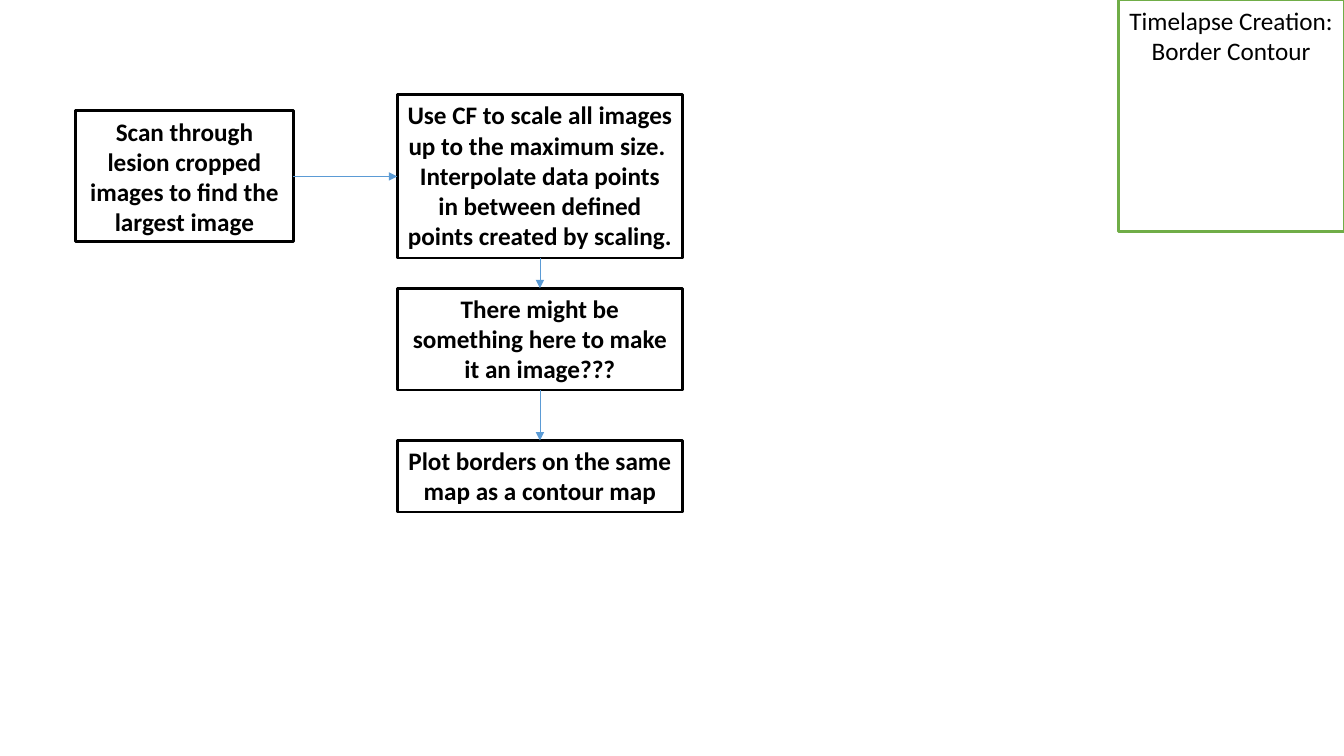
from dataclasses import dataclass

from lxml.etree import SubElement
from pptx import Presentation
from pptx.dml.color import RGBColor
from pptx.enum.shapes import MSO_CONNECTOR
from pptx.enum.text import MSO_ANCHOR, MSO_AUTO_SIZE, PP_ALIGN
from pptx.oxml.ns import qn
from pptx.shapes.autoshape import Shape
from pptx.slide import Slide
from pptx.util import Inches, Pt

COLORS = {"text": "000000", "box": "000000", "title": "70AD47", "arrow": "5B9BD5"}
FONT = "Calibri"
TOP, LEFT, BOTTOM, RIGHT = range(4)  # connection sites of a rectangle


@dataclass
class Step:
    name: str
    left: float
    top: float
    width: float
    height: float
    text: str


@dataclass
class Arrow:
    start: str
    out: int
    end: str
    into: int


COL, WIDE = 3.94, 2.83
STEPS = [
    Step("scan", 0.75, 1.1, 2.16, 1.3,
         "Scan through lesion cropped images to find the largest image"),
    Step("scale", COL, 0.94, WIDE, 1.62,
         "Use CF to scale all images up to the maximum size. \n"
         "Interpolate data points in between defined points created by scaling."),
    Step("image", COL, 2.86, WIDE, 1.01,
         "There might be something here to make it an image???"),
    Step("plot", COL, 4.37, WIDE, 0.71,
         "Plot borders on the same map as a contour map"),
]
ARROWS = [
    Arrow("scan", RIGHT, "scale", LEFT),
    Arrow("scale", BOTTOM, "image", TOP),
    Arrow("image", BOTTOM, "plot", TOP),
]


def color(key: str) -> RGBColor:
    return RGBColor.from_string(COLORS[key])


def style(shape: Shape, text: str, edge: str, bold: bool, wrap: bool) -> None:
    shape.line.color.rgb = color(edge)
    shape.line.width = Pt(2)
    frame = shape.text_frame
    frame.text = text
    frame.word_wrap = wrap
    frame.auto_size = MSO_AUTO_SIZE.SHAPE_TO_FIT_TEXT
    frame.vertical_anchor = MSO_ANCHOR.TOP
    for para in frame.paragraphs:
        para.alignment = PP_ALIGN.CENTER
        para.line_spacing = 1.0
        para.space_before = Pt(0)
        for run in para.runs:
            run.font.name = FONT
            run.font.size = Pt(18)
            run.font.bold = bold
            run.font.color.rgb = color("text")


def add_step(slide: Slide, step: Step) -> Shape:
    box = slide.shapes.add_textbox(Inches(step.left), Inches(step.top),
                                   Inches(step.width), Inches(step.height))
    style(box, step.text, "box", bold=True, wrap=True)
    return box


def add_arrow(slide: Slide, arrow: Arrow, boxes: dict[str, Shape]) -> None:
    link = slide.shapes.add_connector(MSO_CONNECTOR.STRAIGHT, 0, 0, 0, 0)
    link.begin_connect(boxes[arrow.start], arrow.out)
    link.end_connect(boxes[arrow.end], arrow.into)
    link.line.color.rgb = color("arrow")
    link.line.width = Pt(0.5)
    SubElement(link.line._get_or_add_ln(), qn("a:tailEnd"), type="triangle")
    SubElement(link._element.spPr, qn("a:effectLst"))


def main() -> None:
    deck = Presentation()
    deck.slide_width, deck.slide_height = Inches(13.33), Inches(7.5)
    slide = deck.slides.add_slide(deck.slide_layouts.get_by_name("Title Only"))

    # Title in the top right corner
    title = slide.shapes.title
    title.left, title.top = Inches(11.09), Inches(0)
    title.width, title.height = Inches(2.24), Inches(0.71)
    style(title, "Timelapse Creation:\nBorder Contour", "title", bold=False, wrap=False)

    # Flow chart
    boxes = {step.name: add_step(slide, step) for step in STEPS}
    for arrow in ARROWS:
        add_arrow(slide, arrow, boxes)

    deck.save("out.pptx")


if __name__ == "__main__":
    main()
